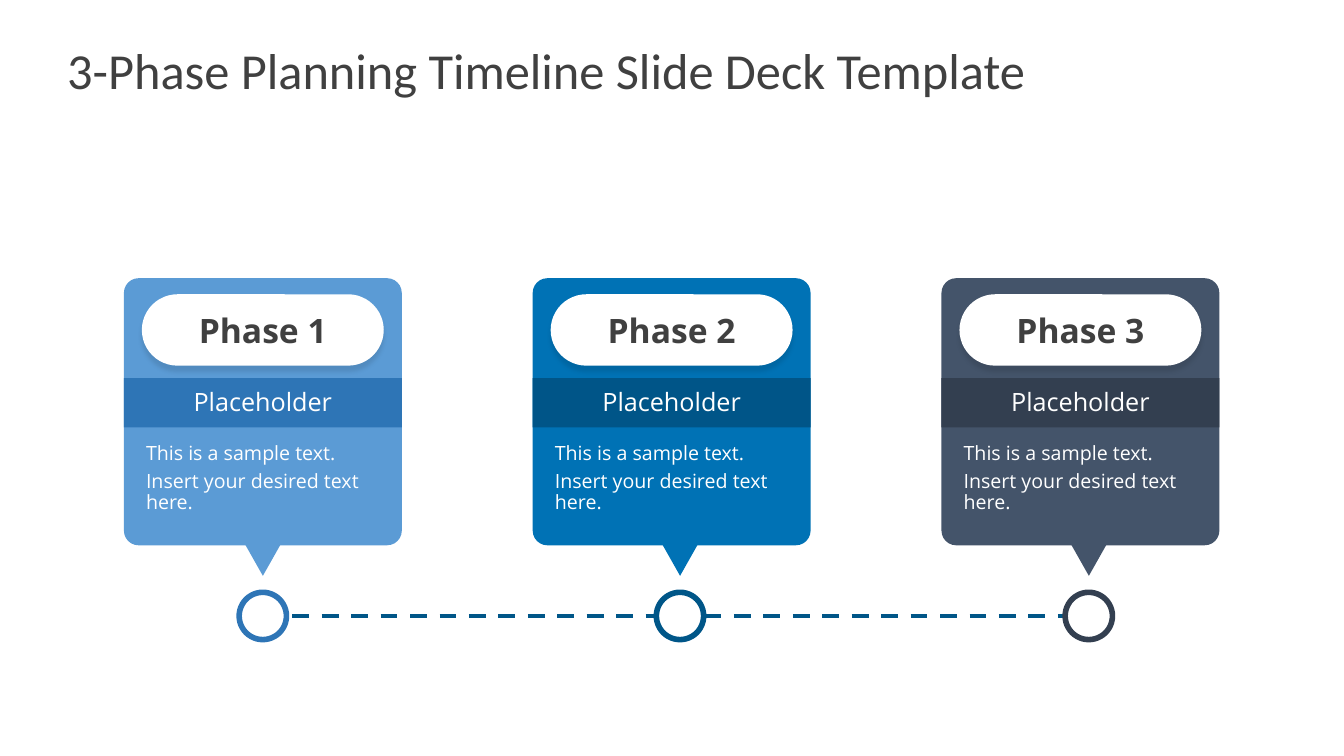
import dataclasses

import lxml.etree
import pptx
import pptx.dml.color
import pptx.enum.dml
import pptx.enum.shapes
import pptx.enum.text
import pptx.oxml.ns
import pptx.util

Pt = pptx.util.Pt
SHAPES = pptx.enum.shapes.MSO_SHAPE
ALIGN = pptx.enum.text.PP_ALIGN
ANCHOR = pptx.enum.text.MSO_ANCHOR


@dataclasses.dataclass(frozen=True)
class Theme:
    heading_font: str = "Calibri"
    body_font: str = "Open Sans"
    title_size: int = 36
    phase_size: int = 24
    band_size: int = 18
    body_size: int = 14
    dark: str = "404040"
    white: str = "FFFFFF"
    shadow: str = "000000"
    line: str = "005688"


@dataclasses.dataclass(frozen=True)
class Phase:
    name: str
    card: str
    band: str
    ring: str
    marker_shift: float  # marker centre relative to card centre, in points


THEME = Theme()
PHASES = [
    Phase("Phase 1", "5B9BD5", "2E75B6", "2E75B6", 0),
    Phase("Phase 2", "0072B5", "005588", "005688", 6),
    Phase("Phase 3", "44546A", "333F50", "333F50", 6),
]
BAND_TEXT = "Placeholder"
BODY_TEXT = ["This is a sample text.", "Insert your desired text here."]

CARD_LEFT, CARD_TOP = 88.5, 198.7
CARD_WIDTH, CARD_HEIGHT = 198.5, 190.8
CARD_PITCH = 292
LINE_Y = 440


def color(value):
    return pptx.dml.color.RGBColor.from_string(value)


def add_shape(slide, kind, left, top, width, height, fill):
    shape = slide.shapes.add_shape(kind, Pt(left), Pt(top), Pt(width), Pt(height))
    shape.shadow.inherit = False
    shape.fill.solid()
    shape.fill.fore_color.rgb = color(fill)
    shape.line.fill.background()
    return shape


def add_text_box(slide, left, top, width, height):
    box = slide.shapes.add_textbox(Pt(left), Pt(top), Pt(width), Pt(height))
    box.text_frame.word_wrap = True
    return box.text_frame


def add_run(paragraph, text, size, font_color, font=THEME.body_font, bold=False):
    run = paragraph.add_run()
    run.text = text
    run.font.name = font
    run.font.size = Pt(size)
    run.font.bold = bold
    run.font.color.rgb = color(font_color)


def add_soft_shadow(shape):
    effects = shape._element.spPr.find(pptx.oxml.ns.qn("a:effectLst"))
    outer = lxml.etree.SubElement(
        effects, pptx.oxml.ns.qn("a:outerShdw"),
        blurRad=str(Pt(3)), dist=str(Pt(4)), dir="5400000", algn="t", rotWithShape="0")
    tint = lxml.etree.SubElement(outer, pptx.oxml.ns.qn("a:srgbClr"), val=THEME.shadow)
    lxml.etree.SubElement(tint, pptx.oxml.ns.qn("a:alpha"), val="10000")


def add_title(slide, left, top, width, height):
    frame = add_text_box(slide, left, top, width, height)
    frame.margin_left = frame.margin_right = frame.margin_top = frame.margin_bottom = 0
    frame.vertical_anchor = ANCHOR.MIDDLE
    add_run(frame.paragraphs[0], "3-Phase Planning Timeline Slide Deck Template",
            THEME.title_size, THEME.dark, THEME.heading_font)


def add_timeline(slide, start, end, y):
    line = slide.shapes.add_connector(
        pptx.enum.shapes.MSO_CONNECTOR.STRAIGHT, Pt(start), Pt(y), Pt(end), Pt(y))
    line.line.color.rgb = color(THEME.line)
    line.line.width = Pt(3)
    line.line.dash_style = pptx.enum.dml.MSO_LINE.DASH
    lxml.etree.SubElement(line._element.spPr, pptx.oxml.ns.qn("a:effectLst"))


def add_card(slide, phase, left, top, width, height):
    # Card body
    card = add_shape(slide, SHAPES.ROUNDED_RECTANGLE, left, top, width, height, phase.card)
    card.adjustments[0] = 0.055

    # Phase pill
    pill_width = 172.8
    inset = (width - pill_width) / 2
    pill = add_shape(slide, SHAPES.ROUNDED_RECTANGLE, left + inset, top + 11.5,
                     pill_width, 51, THEME.white)
    pill.adjustments[0] = 0.5
    add_soft_shadow(pill)
    pill.text_frame.vertical_anchor = ANCHOR.MIDDLE
    heading = pill.text_frame.paragraphs[0]
    heading.alignment = ALIGN.CENTER
    add_run(heading, phase.name, THEME.phase_size, THEME.dark, bold=True)

    # Band with its label
    add_shape(slide, SHAPES.RECTANGLE, left, top + 71.3, width, 35.3, phase.band)
    label = add_text_box(slide, left + inset, top + 73.5, pill_width, 28.8).paragraphs[0]
    label.alignment = ALIGN.CENTER
    add_run(label, BAND_TEXT, THEME.band_size, THEME.white)

    # Description
    frame = add_text_box(slide, left + 15.8, top + 114.5, width - 31.5, 63.4)
    frame.margin_left = frame.margin_right = 0
    for index, text in enumerate(BODY_TEXT):
        paragraph = frame.add_paragraph() if index else frame.paragraphs[0]
        paragraph.line_spacing = 0.9
        if index:
            paragraph.space_before = Pt(5)
        add_run(paragraph, text, THEME.body_size, THEME.white)


def add_marker(slide, phase, center, card_bottom, line_y):
    # Pointer below the card
    width, height = 25.2, 22.3
    pointer = add_shape(slide, SHAPES.ISOSCELES_TRIANGLE, center - width / 2,
                        card_bottom - 0.5, width, height, phase.card)
    pointer.rotation = 180

    # Ring on the line
    size = 33.8
    ring = add_shape(slide, SHAPES.OVAL, center - size / 2, line_y - size / 2,
                     size, size, THEME.white)
    ring.line.color.rgb = color(phase.ring)
    ring.line.width = Pt(4)


def main():
    presentation = pptx.Presentation()
    presentation.slide_width = Pt(960)
    presentation.slide_height = Pt(540)
    slide = presentation.slides.add_slide(presentation.slide_layouts[6])

    add_title(slide, 48, 21.6, 864, 56)
    first_center = CARD_LEFT + CARD_WIDTH / 2
    last_center = first_center + CARD_PITCH * (len(PHASES) - 1)
    add_timeline(slide, first_center, last_center, LINE_Y)
    for index, phase in enumerate(PHASES):
        left = CARD_LEFT + index * CARD_PITCH
        center = left + CARD_WIDTH / 2 + phase.marker_shift
        add_marker(slide, phase, center, CARD_TOP + CARD_HEIGHT, LINE_Y)
        add_card(slide, phase, left, CARD_TOP, CARD_WIDTH, CARD_HEIGHT)

    presentation.save("out.pptx")


if __name__ == "__main__":
    main()
